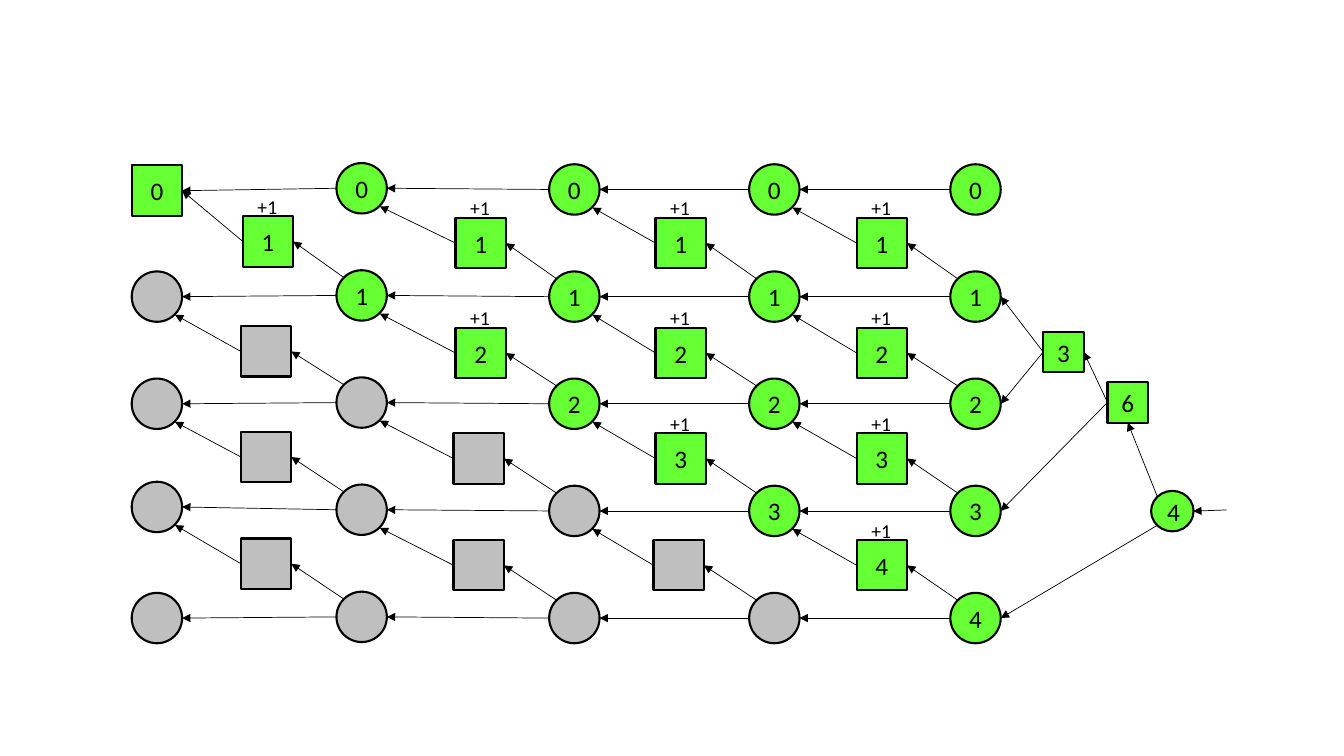
from lxml.etree import SubElement as Sub
from pptx import Presentation
from pptx.dml.color import RGBColor as Rgb
from pptx.enum.shapes import MSO_CONNECTOR as Conn, MSO_SHAPE as Kind
from pptx.enum.text import MSO_ANCHOR as Anchor, MSO_AUTO_SIZE as Fit, PP_ALIGN as Align
from pptx.oxml.ns import qn
from pptx.util import Cm, Pt

COLORS = {"live": "66FF33", "idle": "BFBFBF", "ink": "000000"}
FONT = "Calibri"

# Lengths in cm
COLS = [3.32, 8.48, 13.84, 18.88, 23.95]
TOP, PITCH = 4.14, 2.7
GATES = [5.49, 8.26, 10.92, 13.61]
SIDE, SMALL = 1.27, 1.02
INSET = 0.18  # where a diagonal meets a circle
NUDGE = {(3, 0): -0.1, (0, 0): 0.03}


def color(name):
    return Rgb.from_string(COLORS[name])


def write(shape, text, size=18, align=Align.CENTER, anchor=Anchor.MIDDLE):
    frame = shape.text_frame
    frame.vertical_anchor = anchor
    para = frame.paragraphs[0]
    para.alignment = align
    run = para.add_run()
    run.text = text
    run.font.name = FONT
    run.font.size = Pt(size)
    run.font.color.rgb = color("ink")


def node(shapes, kind, x, y, text="", wide=SIDE, high=SIDE):
    shape = shapes.add_shape(kind, Cm(x), Cm(y), Cm(wide), Cm(high))
    shape.shadow.inherit = False
    shape.fill.solid()
    shape.fill.fore_color.rgb = color("live" if text else "idle")
    shape.line.color.rgb = color("ink")
    shape.line.width = Pt(1.5)
    if text:
        write(shape, text)


def arrow(shapes, start, end):
    line = shapes.add_connector(Conn.STRAIGHT, *map(Cm, start + end))
    line.line.color.rgb = color("ink")
    line.line.width = Pt(0.5)
    props = line.element.spPr
    Sub(props.find(qn("a:ln")), qn("a:tailEnd"), type="triangle")
    Sub(props, qn("a:effectLst"))


def spot(row, col):
    """Top left corner of a circle in the grid."""
    shift = -0.03 if col == 1 else 0
    return COLS[col], TOP + PITCH * row + shift + NUDGE.get((row, col), 0)


def port(row, col, dx, dy):
    x, y = spot(row, col)
    return x + dx, y + dy


def gate(shapes, row, col):
    """Square between two columns, with its arrows in and out."""
    live = row <= col
    x = COLS[col + 1] - (2.36 if live else 2.41)
    y = GATES[row] - (0.04 if col == 0 else 0)
    mid = y + SIDE / 2
    far = SIDE - INSET
    root = row == col == 0
    goal = port(row, col, SIDE, SIDE / 2) if root else port(row, col, far, far)
    arrow(shapes, (x, mid), goal)
    arrow(shapes, port(row + 1, col + 1, INSET, INSET), (x + SIDE, mid))
    if not live:
        node(shapes, Kind.RECTANGLE, x, y)
        return
    group = shapes.add_group_shape().shapes
    node(group, Kind.RECTANGLE, x, y, str(row + 1))
    box = group.add_textbox(Cm(x + 0.12), Cm(y - 0.67), Cm(1.02), Cm(0.86))
    box.text_frame.word_wrap = False
    box.text_frame.auto_size = Fit.SHAPE_TO_FIT_TEXT
    write(box, "+1", size=14, align=Align.LEFT, anchor=Anchor.TOP)


def grid(shapes):
    for col in range(5):
        for row in range(5):
            kind = Kind.RECTANGLE if row == col == 0 else Kind.OVAL
            node(shapes, kind, *spot(row, col), str(row) if row <= col else "")
            if col:
                arrow(shapes, port(row, col, 0, SIDE / 2),
                      port(row, col - 1, SIDE, SIDE / 2))
    for col in range(4):
        for row in range(4):
            gate(shapes, row, col)


def tail(shapes):
    """Three joining nodes to the right of the grid."""
    ends = [port(row, 4, SIDE, SIDE / 2) for row in range(5)]
    three, six, four = (26.29, 8.36), (27.91, 9.63), (29.01, 12.37)
    half = SMALL / 2
    left3 = (three[0], three[1] + half)
    left6 = (six[0], six[1] + half)
    links = [
        (left3, ends[1]),
        (left3, ends[2]),
        (left6, (three[0] + SMALL, three[1] + half)),
        (left6, ends[3]),
        ((29.16, 13.24), ends[4]),
        ((29.16, 12.5), (six[0] + half, six[1] + SMALL)),
        ((30.91, 12.85), (30.07, 12.88)),
    ]
    for start, end in links:
        arrow(shapes, start, end)
    node(shapes, Kind.RECTANGLE, *three, "3", SMALL, SMALL)
    node(shapes, Kind.RECTANGLE, *six, "6", SMALL, SMALL)
    node(shapes, Kind.OVAL, *four, "4", 1.07, SMALL)


def main():
    deck = Presentation()
    deck.slide_width, deck.slide_height = Cm(33.87), Cm(19.05)
    slide = deck.slides.add_slide(deck.slide_layouts[6])
    grid(slide.shapes)
    tail(slide.shapes)
    deck.save("out.pptx")


main()
